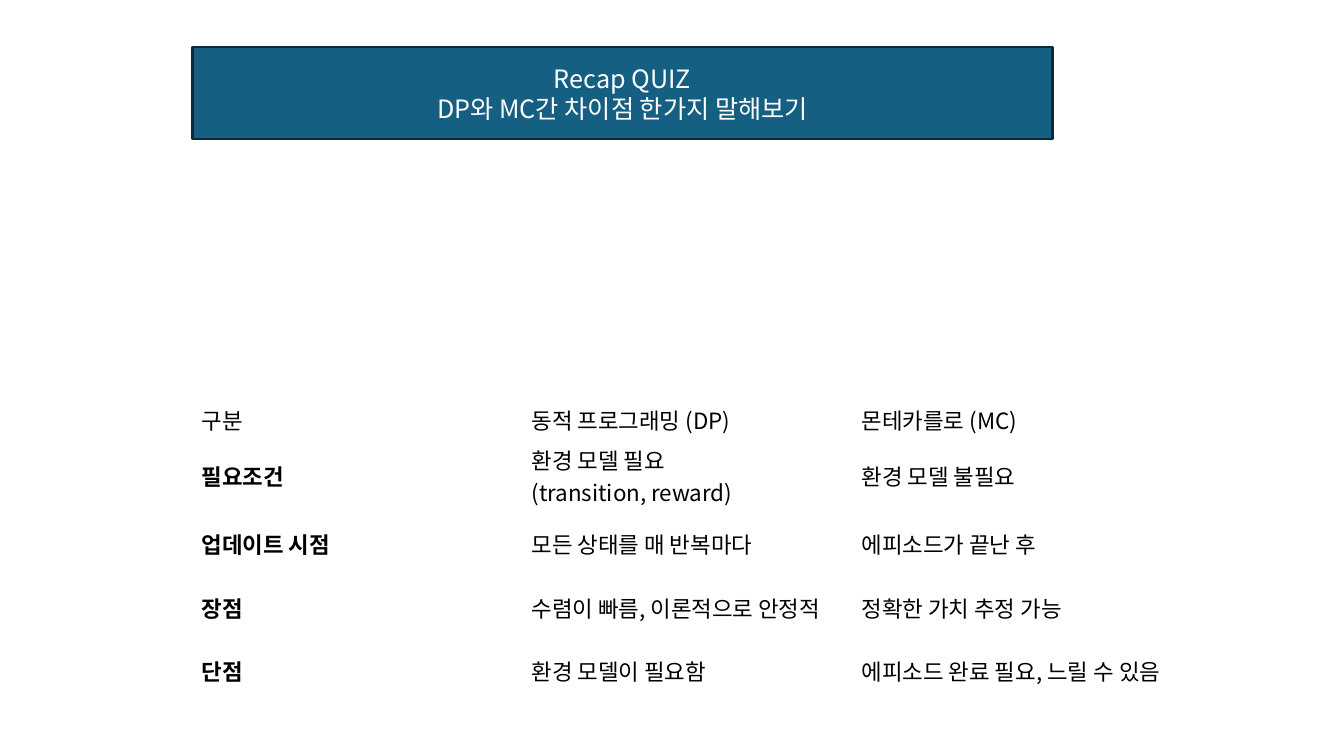
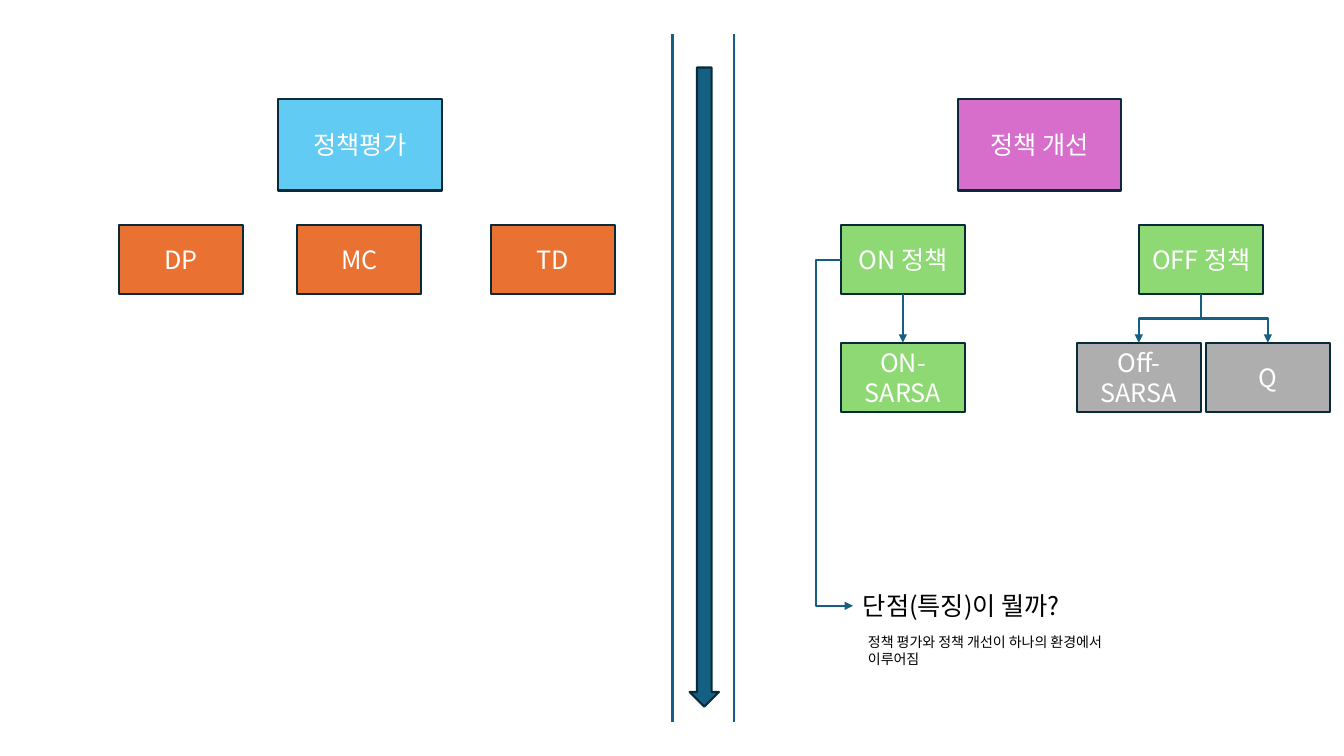
from pptx import Presentation
from pptx.dml.color import RGBColor
from pptx.enum.shapes import MSO_CONNECTOR, MSO_SHAPE
from pptx.enum.text import MSO_ANCHOR, PP_ALIGN
from pptx.oxml.ns import qn
from pptx.util import Inches, Pt
from lxml import etree

RECT, DOWN_ARROW = MSO_SHAPE.RECTANGLE, MSO_SHAPE.DOWN_ARROW
STRAIGHT, ELBOW = MSO_CONNECTOR.STRAIGHT, MSO_CONNECTOR.ELBOW
MIDDLE, CENTER, LEFT = MSO_ANCHOR.MIDDLE, PP_ALIGN.CENTER, PP_ALIGN.LEFT
TOP_SITE, LEFT_SITE, BOTTOM_SITE = 0, 1, 2

TEAL = RGBColor(0x15, 0x60, 0x82)
OUTLINE = RGBColor(0x09, 0x2A, 0x39)
SKY = RGBColor(0x61, 0xCB, 0xF4)
PINK = RGBColor(0xD8, 0x6E, 0xCC)
ORANGE = RGBColor(0xE9, 0x71, 0x32)
GREEN = RGBColor(0x8E, 0xD9, 0x73)
GRAY = RGBColor(0xAE, 0xAE, 0xAE)
WHITE = RGBColor(0xFF, 0xFF, 0xFF)
BLACK = RGBColor(0, 0, 0)

FONT = "Noto Sans CJK KR"
LINE_WIDTH = Pt(1.5)
HEAD_SIZE = (1.62, 0.91)
NODE_SIZE = (1.23, 0.69)
NODE_ROW, LEAF_ROW = 1.25, 2.42

COMPARISON = [
    ["구분", "동적 프로그래밍 (DP)", "몬테카를로 (MC)"],
    ["필요조건", "환경 모델 필요\n(transition, reward)", "환경 모델 불필요"],
    ["업데이트 시점", "모든 상태를 매 반복마다", "에피소드가 끝난 후"],
    ["장점", "수렴이 빠름, 이론적으로 안정적", "정확한 가치 추정 가능"],
    ["단점", "환경 모델이 필요함", "에피소드 완료 필요, 느릴 수 있음"],
]


# Shared parts
def write(tf, text, size=18, color=WHITE, bold=False, align=CENTER):
    tf.word_wrap = True
    for i, line in enumerate(text.split("\n")):
        p = tf.paragraphs[0] if i == 0 else tf.add_paragraph()
        p.alignment = align
        r = p.add_run()
        r.text = line
        style = {"name": FONT, "size": Pt(size), "bold": bold}
        for key, value in style.items():
            setattr(r.font, key, value)
        r.font.color.rgb = color
        etree.SubElement(r.font._element, qn("a:ea"), typeface=FONT)


def add_block(s, x, y, size, fill, text="", shape=RECT):
    sp = s.shapes.add_shape(shape, *map(Inches, (x, y, *size)))
    sp.shadow.inherit = False
    sp.fill.solid()
    sp.fill.fore_color.rgb = fill
    sp.line.color.rgb = OUTLINE
    sp.line.width = LINE_WIDTH
    if text:
        sp.text_frame.vertical_anchor = MIDDLE
        write(sp.text_frame, text)
    return sp


def add_note(s, x, y, size, text, points):
    sp = s.shapes.add_textbox(*map(Inches, (x, y, *size)))
    write(sp.text_frame, text, points, BLACK, align=LEFT)
    return sp


def add_line(s, kind, start=(0, 0), end=(0, 0), arrow=False):
    cxn = s.shapes.add_connector(kind, *map(Inches, (*start, *end)))
    cxn.line.color.rgb = TEAL
    cxn.line.width = LINE_WIDTH
    if arrow:
        etree.SubElement(cxn.line._get_or_add_ln(), qn("a:tailEnd"),
                         type="triangle")
    etree.SubElement(cxn._element.spPr, qn("a:effectLst"))
    return cxn


def join(s, kind, source, source_site, target, target_site):
    cxn = add_line(s, kind, arrow=True)
    cxn.begin_connect(source, source_site)
    cxn.end_connect(target, target_site)
    return cxn


def join_down(s, parent, child):
    """Elbow that leaves the parent downwards and enters the child's top."""
    cxn = join(s, ELBOW, parent, BOTTOM_SITE, child, TOP_SITE)
    to_right = cxn.end_x > cxn.begin_x
    x, y, w, h = cxn.left, cxn.top, cxn.width, cxn.height
    # A quarter turn swaps width and height around the same centre
    cxn.left, cxn.top = x + (w - h) // 2, y + (h - w) // 2
    cxn.width, cxn.height = h, w
    xfrm = cxn._element.spPr.find(qn("a:xfrm"))
    for key in ("flipH", "flipV"):
        xfrm.attrib.pop(key, None)
    xfrm.set("rot", str((270 if to_right else 90) * 60000))
    if to_right:
        xfrm.set("flipH", "1")


def join_around(s, source, target, reach):
    """Elbow that runs down the left side, reach inches out from the source."""
    cxn = join(s, ELBOW, source, LEFT_SITE, target, LEFT_SITE)
    guides = cxn._element.spPr.find(qn("a:prstGeom")).get_or_add_avLst()
    ratio = round(-Inches(reach) / cxn.width * 100000)
    etree.SubElement(guides, qn("a:gd"), name="adj1", fmla=f"val {ratio}")


# Quiz slide
def comparison_table(s, x, y, w, head_h, row_h):
    n_rows, n_cols = len(COMPARISON), len(COMPARISON[0])
    height = head_h + row_h * (n_rows - 1)
    table = s.shapes.add_table(n_rows, n_cols,
                               *map(Inches, (x, y, w, height))).table
    table.first_row = table.horz_banding = False
    for i, texts in enumerate(COMPARISON):
        table.rows[i].height = Inches(row_h if i else head_h)
        for j, text in enumerate(texts):
            cell = table.cell(i, j)
            cell.fill.background()
            cell.vertical_anchor = MIDDLE
            cell.margin_left = cell.margin_right = Inches(0.09)
            cell.margin_top = cell.margin_bottom = Inches(0.04)
            write(cell.text_frame, text, 16, BLACK, i > 0 and j == 0, LEFT)


def quiz_slide(s):
    left = 1.91
    comparison_table(s, left, 3.96, 9.82, 0.36, 0.63)
    add_block(s, left, 0.47, (8.53, 0.91), TEAL,
              "Recap QUIZ\nDP와 MC간 차이점 한가지 말해보기")


# Policy slide
def evaluation(s, x, y):
    add_block(s, x + 1.58, y, HEAD_SIZE, SKY, "정책평가")
    for dx, text in ((0, "DP"), (1.77, "MC"), (3.69, "TD")):
        add_block(s, x + dx, y + NODE_ROW, NODE_SIZE, ORANGE, text)


def divider(s, x, y, w, h):
    for line_x in (x, x + w):
        add_line(s, STRAIGHT, (line_x, y), (line_x, y + h))
    arrow_w = 0.29
    add_block(s, x + (w - arrow_w) / 2 + 0.01, y + 0.33, (arrow_w, 6.34),
              TEAL, shape=DOWN_ARROW)


def improvement(s, x, y):
    def node(dx, dy, fill, text):
        return add_block(s, x + dx, y + dy, NODE_SIZE, fill, text)

    add_block(s, x + 1.16, y, HEAD_SIZE, PINK, "정책 개선")
    on_policy = node(0, NODE_ROW, GREEN, "ON 정책")
    off_policy = node(2.96, NODE_ROW, GREEN, "OFF 정책")
    on_sarsa = node(0, LEAF_ROW, GREEN, "ON-SARSA")
    off_sarsa = node(2.34, LEAF_ROW, GRAY, "Off-SARSA")
    q_learning = node(3.62, LEAF_ROW, GRAY, "Q")
    question = add_note(s, x + 0.12, y + 4.83, (2.58, 0.4),
                        "단점(특징)이 뭘까?", 18)
    add_note(s, x + 0.17, y + 5.26, (2.99, 0.44),
             "정책 평가와 정책 개선이 하나의 환경에서 이루어짐", 10)

    # Arrows between the nodes
    join(s, STRAIGHT, on_policy, BOTTOM_SITE, on_sarsa, TOP_SITE)
    for leaf in (q_learning, off_sarsa):
        join_down(s, off_policy, leaf)
    join_around(s, on_policy, question, 0.25)


def policy_slide(s):
    top = 0.98
    evaluation(s, 1.18, top)
    divider(s, 6.67, 0.34, 0.61, 6.82)
    improvement(s, 8.34, top)


def main():
    prs = Presentation()
    prs.slide_width, prs.slide_height = Inches(13.33), Inches(7.5)
    for build in (quiz_slide, policy_slide):
        build(prs.slides.add_slide(prs.slide_layouts[6]))
    prs.save("out.pptx")


if __name__ == "__main__":
    main()
